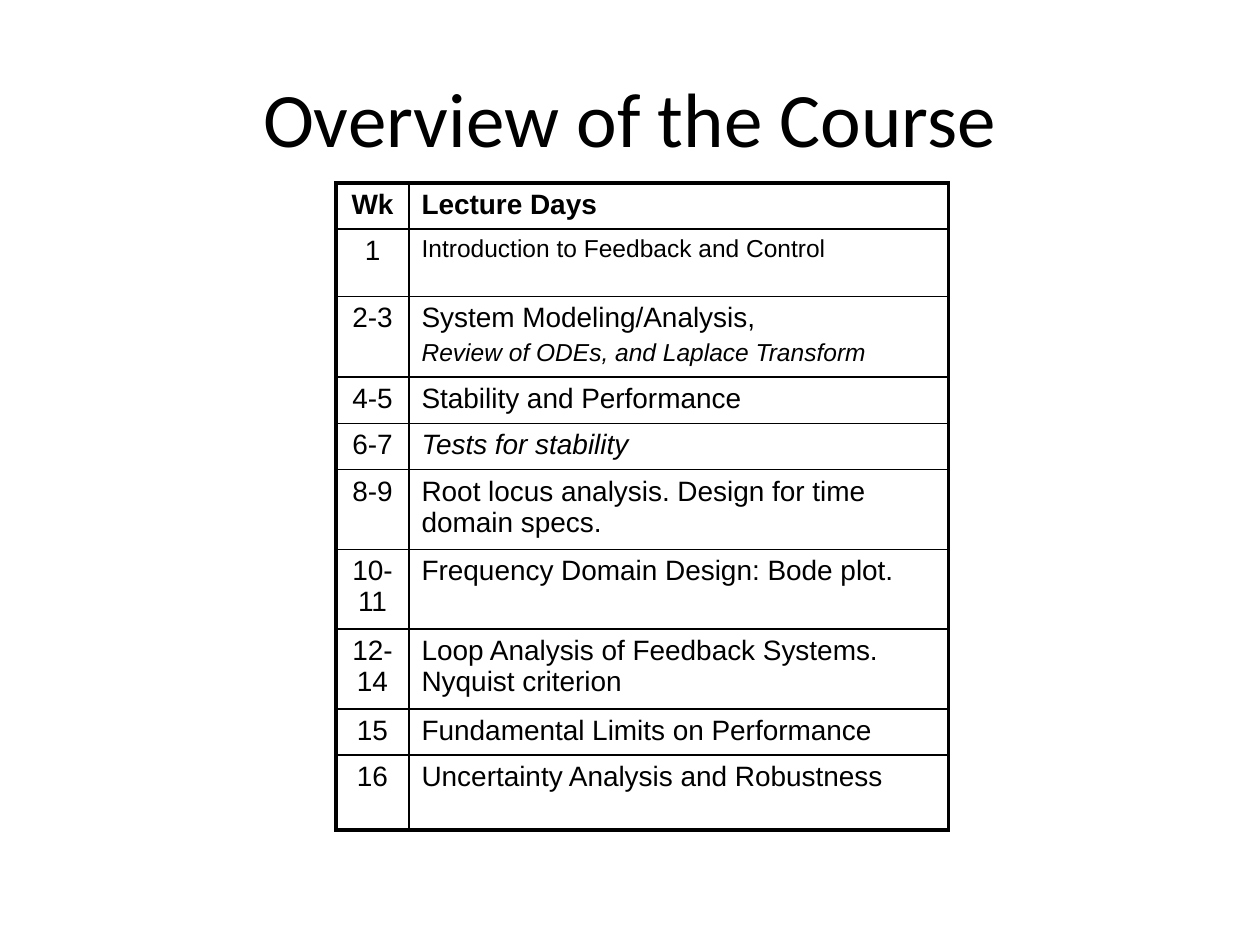
import lxml.etree
import pptx
import pptx.dml.color
import pptx.enum.text
import pptx.oxml.ns
import pptx.util

Pt = pptx.util.Pt
ALIGN = pptx.enum.text.PP_ALIGN
ANCHOR = pptx.enum.text.MSO_ANCHOR
BLACK = pptx.dml.color.RGBColor(0, 0, 0)

OUTER_LINE, INNER_LINE = 2.25, 1
COLUMN_WIDTHS = (41.75, 308.25)
ONE_LINE, TWO_LINES = 25, 42.75

# Row height, weeks, then the lecture lines as (text, format)
SCHEDULE = [
    (ONE_LINE, "Wk", [("Lecture Days", {"bold": True})]),
    (38.5, "1", [("Introduction to Feedback and Control", {"size": 14})]),
    (43.75, "2-3", [("System Modeling/Analysis,", {}),
                    ("Review of ODEs, and Laplace Transform", {"size": 14, "italic": True})]),
    (ONE_LINE, "4-5", [("Stability and Performance", {})]),
    (ONE_LINE, "6-7", [("Tests for stability", {"italic": True})]),
    (TWO_LINES, "8-9", [("Root locus analysis. Design for time domain specs.", {})]),
    (TWO_LINES, "10-11", [("Frequency Domain Design: Bode plot.", {})]),
    (TWO_LINES, "12-14", [("Loop Analysis of Feedback Systems. Nyquist criterion", {})]),
    (ONE_LINE, "15", [("Fundamental Limits on Performance", {})]),
    (TWO_LINES, "16", [("Uncertainty Analysis and Robustness", {})]),
]


def add_child(parent, tag, **attributes):
    return lxml.etree.SubElement(parent, pptx.oxml.ns.qn(tag), attributes)


def write_text(para, text, size=16, font="Arial", bold=False, italic=False, align=ALIGN.LEFT):
    para.alignment = align
    span = para.add_run()
    span.text = text
    span.font.size = Pt(size)
    span.font.name = font
    span.font.bold = bold
    span.font.italic = italic
    span.font.color.rgb = BLACK


def set_space_before(para, percent):
    """Space before a paragraph as a share of its line height."""
    spacing = add_child(para._p.get_or_add_pPr(), "a:spcBef")
    add_child(spacing, "a:spcPct", val=str(percent * 1000))


def set_borders(cell, left, right, top, bottom):
    properties = cell._tc.get_or_add_tcPr()
    for side, width in zip("LRTB", (left, right, top, bottom)):
        line = add_child(properties, f"a:ln{side}", w=str(int(Pt(width))))
        fill = add_child(line, "a:solidFill")
        add_child(fill, "a:srgbClr", val=str(BLACK))


def fill_cell(cell, lines, margins, align):
    cell.margin_left, cell.margin_right = (Pt(margin) for margin in margins)
    cell.margin_top = cell.margin_bottom = Pt(3.6)
    cell.vertical_anchor = ANCHOR.TOP
    frame = cell.text_frame
    for index, (text, style) in enumerate(lines):
        para = frame.add_paragraph() if index else frame.paragraphs[0]
        write_text(para, text, align=align, **style)
        set_space_before(para, 20)


def add_title(page, left, top, width, height):
    box = page.shapes.add_textbox(Pt(left), Pt(top), Pt(width), Pt(height))
    frame = box.text_frame
    frame.word_wrap = True
    frame.vertical_anchor = ANCHOR.MIDDLE
    write_text(frame.paragraphs[0], "Overview of the Course",
               size=44, font="Calibri", align=ALIGN.CENTER)


def add_schedule(page, left, top):
    height = sum(row[0] for row in SCHEDULE)
    table = page.shapes.add_table(len(SCHEDULE), len(COLUMN_WIDTHS), Pt(left), Pt(top),
                                  Pt(sum(COLUMN_WIDTHS)), Pt(height)).table
    table.first_row = table.horz_banding = False
    for column, width in zip(table.columns, COLUMN_WIDTHS):
        column.width = Pt(width)

    last = len(SCHEDULE) - 1
    for index, (row_height, weeks, lectures) in enumerate(SCHEDULE):
        table.rows[index].height = Pt(row_height)
        week_cell, lecture_cell = table.rows[index].cells
        fill_cell(week_cell, [(weeks, {"bold": index == 0})], (3.6, 3.6), ALIGN.CENTER)
        fill_cell(lecture_cell, lectures, (7.2, 0), ALIGN.LEFT)
        above = OUTER_LINE if index == 0 else INNER_LINE
        below = OUTER_LINE if index == last else INNER_LINE
        set_borders(week_cell, OUTER_LINE, INNER_LINE, above, below)
        set_borders(lecture_cell, INNER_LINE, OUTER_LINE, above, below)
        for cell in (week_cell, lecture_cell):
            cell.fill.background()


def main():
    deck = pptx.Presentation()
    deck.slide_width, deck.slide_height = Pt(720), Pt(540)
    page = deck.slides.add_slide(deck.slide_layouts[6])
    add_title(page, 36, 21.6, 648, 90)
    add_schedule(page, 192, 104.5)
    deck.save("out.pptx")


if __name__ == "__main__":
    main()
